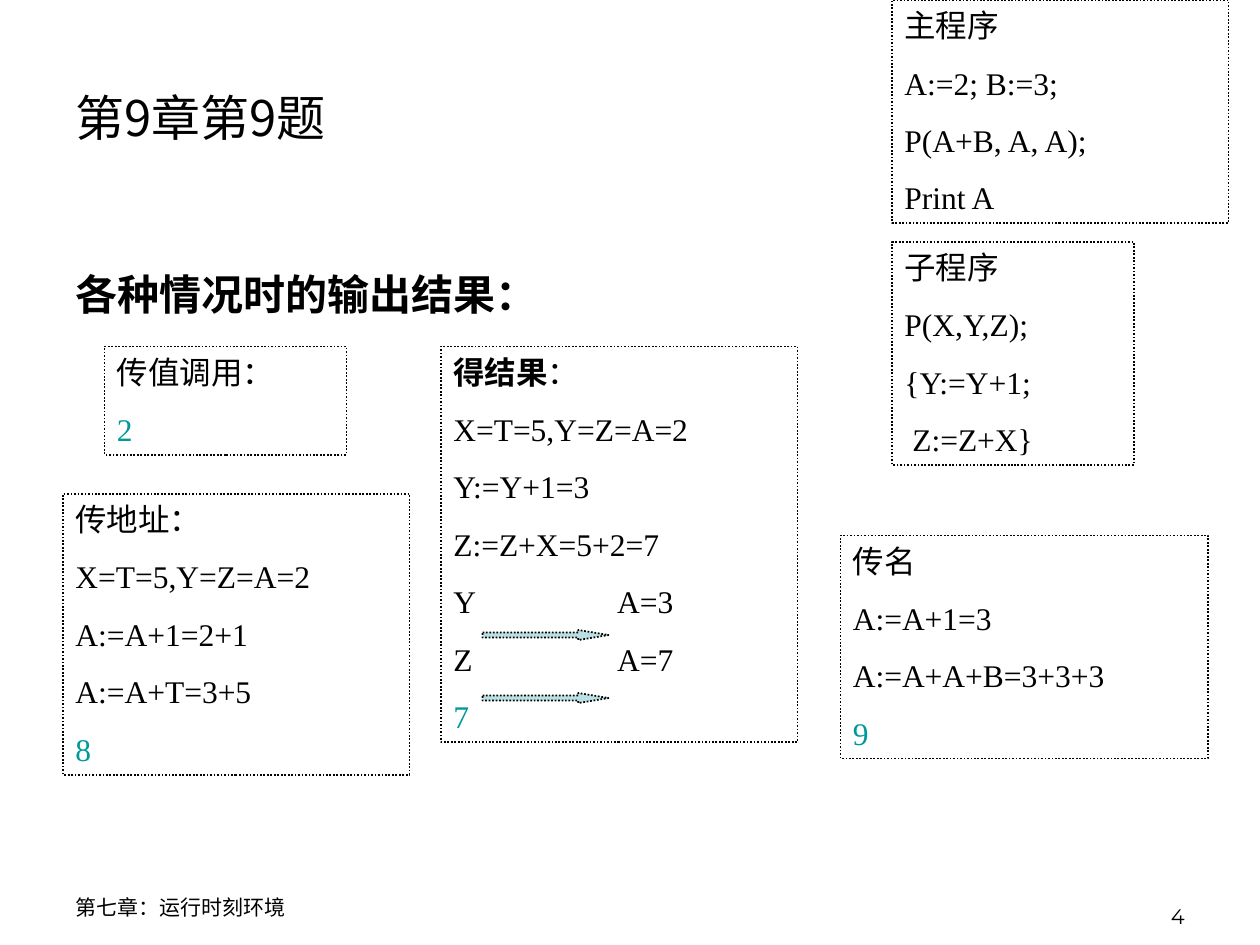
"""Build the slide on the output of a program under four ways of passing parameters."""
from pptx import Presentation
from pptx.dml.color import RGBColor
from pptx.enum.dml import MSO_LINE_DASH_STYLE as Dash
from pptx.enum.shapes import MSO_SHAPE as Shape
from pptx.enum.text import MSO_ANCHOR as Anchor, MSO_AUTO_SIZE as AutoSize, PP_ALIGN as Align
from pptx.oxml.ns import qn
from pptx.util import Inches, Pt
from lxml.etree import SubElement

BLACK, TEAL, PALE_BLUE = "000000", "009999", "BBE0E3"


def color(hex_text):
    return RGBColor.from_string(hex_text)


def write(para, text, size=18, font="Times New Roman", fill=BLACK, bold=False, align=Align.LEFT):
    para.alignment = align
    span = para.add_run()
    span.text = text
    span.font.size = Pt(size)
    span.font.name = font
    span.font.bold = bold
    span.font.color.rgb = color(fill)


deck = Presentation()
deck.slide_width, deck.slide_height = Inches(10), Inches(7.5)
page = deck.slides.add_slide(deck.slide_layouts[1])

title, body = page.shapes.title, page.placeholders[1]
for holder, place, anchor in [
    (title, (0.5, 0.3, 2.61, 1.25), Anchor.MIDDLE),
    (body, (0.42, 2.08, 9.33, 5), Anchor.TOP),
]:
    holder.left, holder.top, holder.width, holder.height = map(Inches, place)
    holder.text_frame.vertical_anchor = anchor
    holder.text_frame.auto_size = AutoSize.NONE
    holder.text_frame.word_wrap = True
write(title.text_frame.paragraphs[0], "第9章第9题", size=28, font="Noto Sans CJK SC")

heading = body.text_frame.paragraphs[0]
heading.space_before = Pt(0)
heading_format = heading._p.get_or_add_pPr()
heading_format.set("marL", str(Inches(0.38)))
heading_format.set("indent", str(Inches(-0.38)))
SubElement(heading_format, qn("a:buNone"))
write(heading, " 各种情况时的输出结果：", size=24, font="Arial", bold=True)

for text, place, font, align in [
    ("第七章：运行时刻环境", (0.5, 6.83, 2.33, 0.52), "Arial", Align.LEFT),
    ("4", (7.42, 6.92, 2.08, 0.5), "Montserrat", Align.RIGHT),
]:
    frame = page.shapes.add_textbox(*map(Inches, place)).text_frame
    frame.word_wrap = True
    frame.vertical_anchor = Anchor.BOTTOM
    write(frame.paragraphs[0], text, size=12, font=font, align=align)

outlined = []
for place, heading_text, steps, result in [
    ((0.83, 2.75, 1.92, 0.86), "传值调用：", [], "2"),
    ((0.5, 3.92, 2.75, 2.23), "传地址：", ["X=T=5,Y=Z=A=2", "A:=A+1=2+1", "A:=A+T=3+5"], "8"),
    ((3.5, 2.75, 2.83, 3.14), "得结果：",
     ["X=T=5,Y=Z=A=2", "Y:=Y+1=3", "Z:=Z+X=5+2=7", "Y\tA=3", "Z\tA=7"], "7"),
    ((6.67, 4.25, 2.92, 1.77), "传名", ["A:=A+1=3", "A:=A+A+B=3+3+3"], "9"),
    ((7.08, 0, 2.67, 1.77), "主程序", ["A:=2; B:=3;", "P(A+B, A, A);", "Print A"], None),
    ((7.08, 1.92, 1.92, 1.77), "子程序", ["P(X,Y,Z);", "{Y:=Y+1;", " Z:=Z+X}"], None),
]:
    box = page.shapes.add_shape(Shape.RECTANGLE, *map(Inches, place))
    box.fill.background()
    outlined.append(box)
    frame = box.text_frame
    frame.word_wrap = True
    frame.vertical_anchor = Anchor.TOP
    frame.auto_size = AutoSize.SHAPE_TO_FIT_TEXT
    first = frame.paragraphs[0]
    if heading_text == "得结果：":
        write(first, heading_text[:-1], bold=True)
        write(first, heading_text[-1])
    else:
        write(first, heading_text)
    for step in steps:
        para = frame.add_paragraph()
        para.space_before = Pt(11.2)
        if "\t" in step:
            tabs = SubElement(para._p.get_or_add_pPr(), qn("a:tabLst"))
            SubElement(tabs, qn("a:tab"), pos=str(Inches(1.3)), algn="l")
        write(para, step)
    if result:
        para = frame.add_paragraph()
        para.space_before = Pt(11.2)
        write(para, result, fill=TEAL)

for top in (5, 5.5):
    arrow = page.shapes.add_shape(Shape.RIGHT_ARROW, Inches(3.83), Inches(top), Inches(1), Inches(0.08))
    arrow.adjustments[0], arrow.adjustments[1] = 0.5, 3
    arrow.fill.solid()
    arrow.fill.fore_color.rgb = color(PALE_BLUE)
    outlined.append(arrow)

for shape in outlined:
    shape.shadow.inherit = False
    shape.line.color.rgb = color(BLACK)
    shape.line.width = Pt(1)
    shape.line.dash_style = Dash.ROUND_DOT

deck.save("out.pptx")
